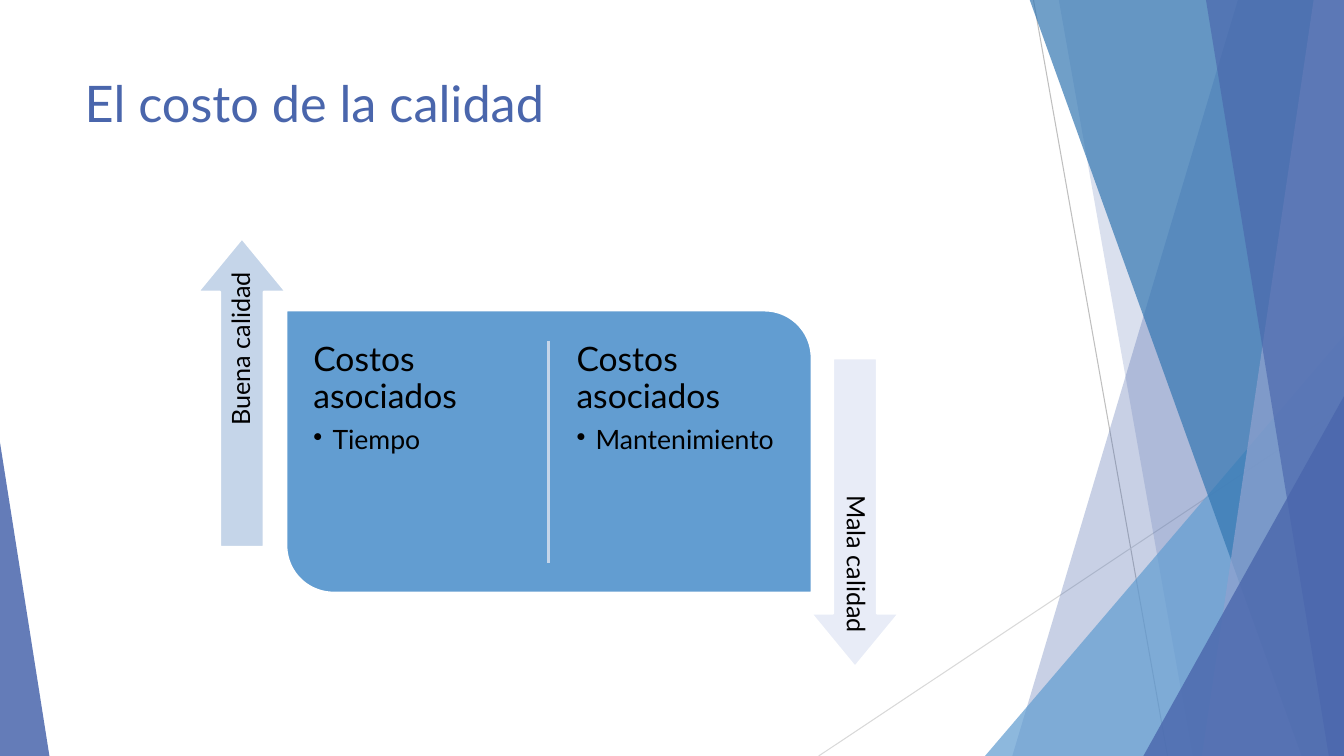
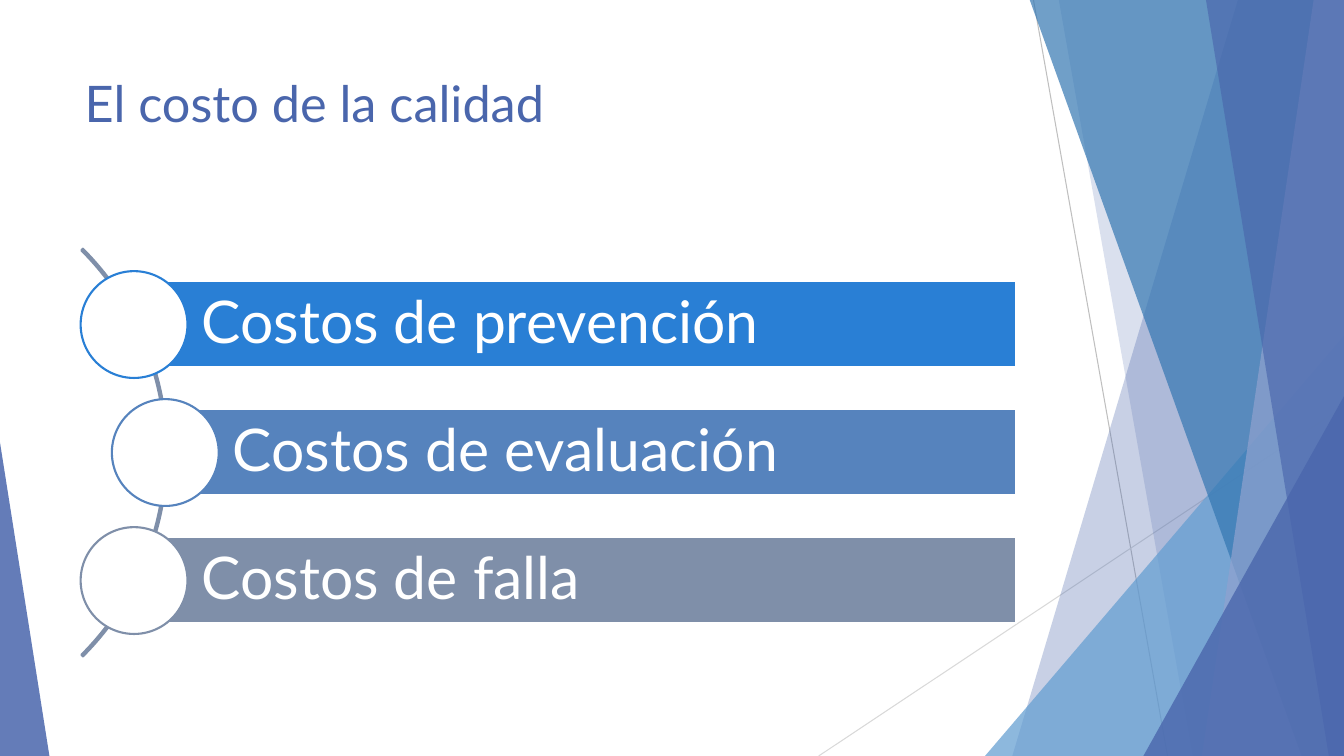
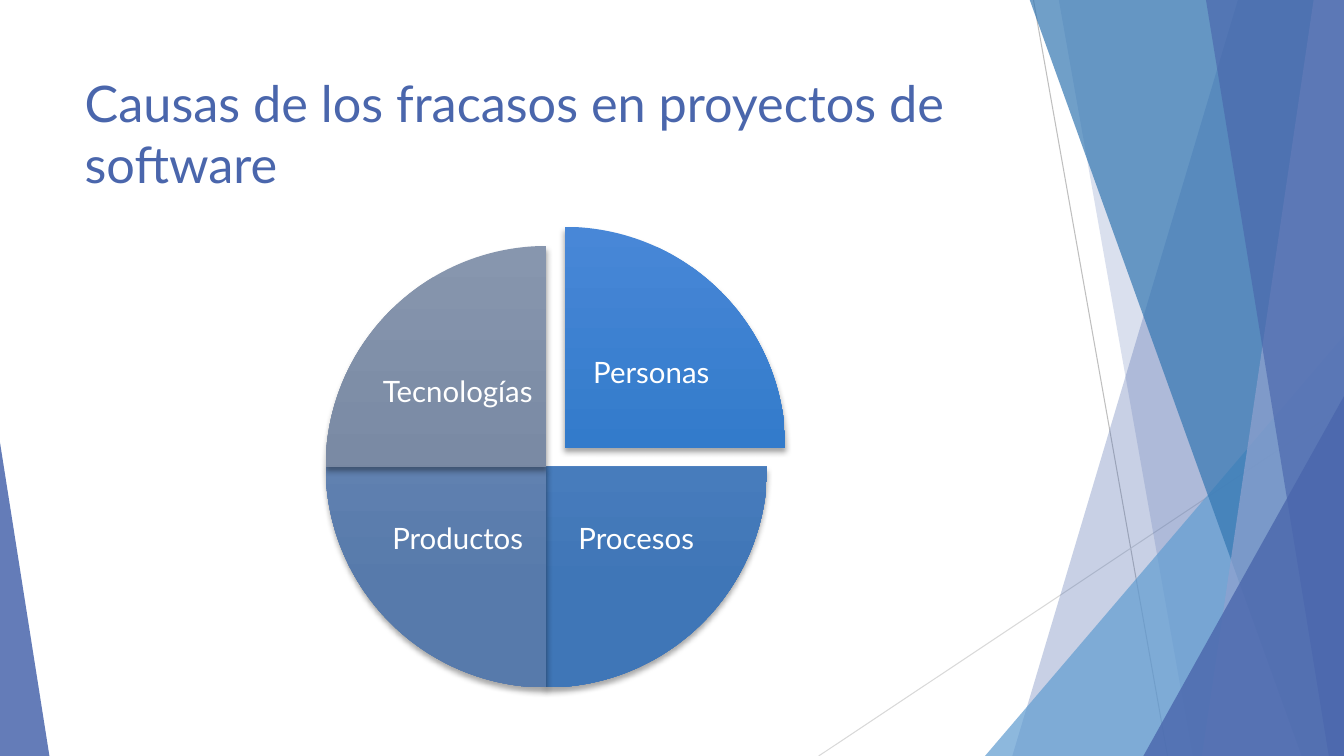
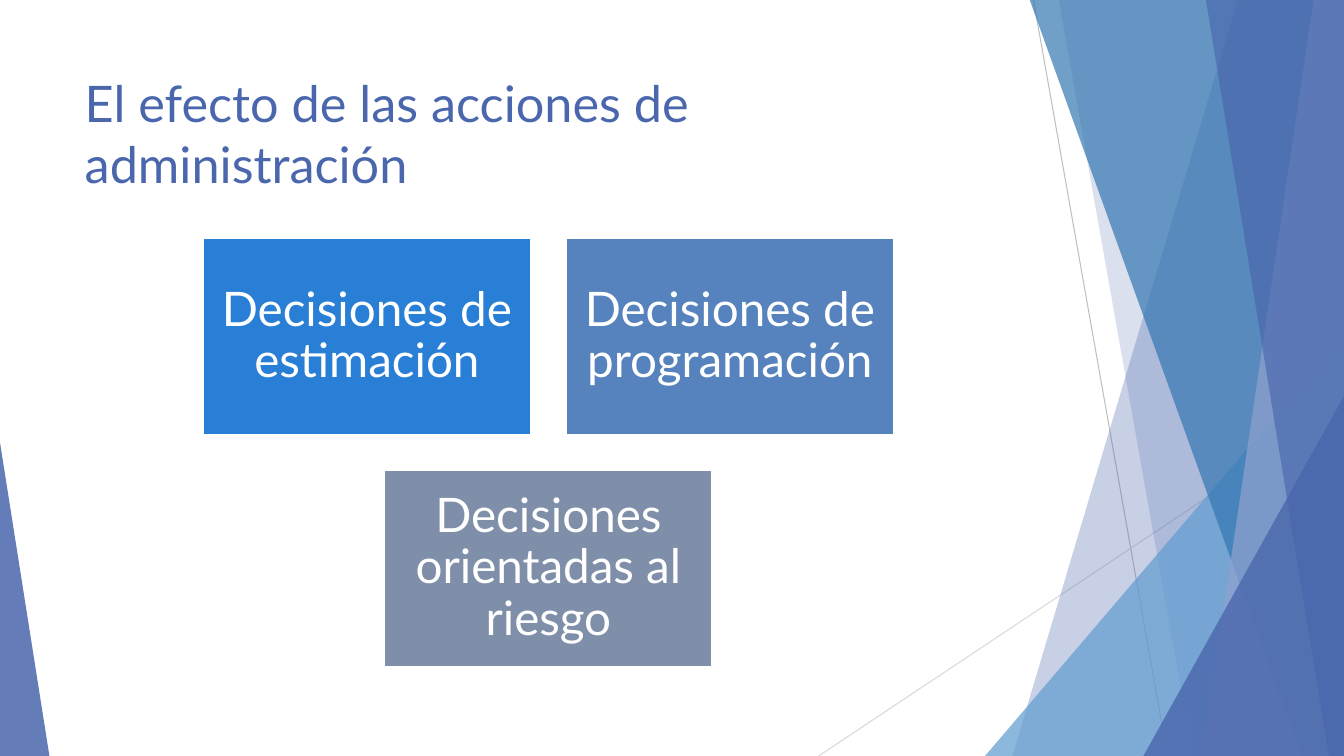
from lxml.etree import SubElement
from pptx import Presentation
from pptx.dml.color import RGBColor
from pptx.enum.shapes import MSO_CONNECTOR, MSO_SHAPE
from pptx.enum.text import MSO_ANCHOR, MSO_AUTO_SIZE, PP_ALIGN
from pptx.oxml.ns import qn
from pptx.util import Inches, Pt

FONT = "Lato"
WIDTH, HEIGHT = 13.33, 7.5
COLORS = {
    "indigo": "4A66AC", "sky": "629DD1", "steel": "3477B2", "lavender": "90A2CF",
    "blue": "297FD5", "mid_blue": "5683BD", "slate": "7F8FA9",
    "pale_blue": "C5D5E9", "pale_indigo": "E8ECF7",
    "gray": "BFBFBF", "light_gray": "D9D9D9", "white": "FFFFFF", "black": "000000",
    "people_top": "4887D7", "people_base": "2674C3",
    "process_top": "5A89C7", "process_base": "3F76B7",
    "product_top": "718EB9", "product_base": "577AAB",
    "tech_top": "8796AE", "tech_base": "71829D",
}
SERIES = ["blue", "mid_blue", "slate"]

# Background: thin rays, then facets from back to front
RAYS = [((10.25, 0), (11.58, 7.5), "gray"), ((13.33, 4.03), (8.12, 7.5), "light_gray")]
FACETS = [  # band: top x, bottom x; triangle: left, top, width, peak
    ("band", (12.28, 10.04), "indigo", 30),
    ("band", (10.5, 11.83), "indigo", 20),
    ("triangle", (9.77, 3.33, 3.56, 1), "sky", 72),
    ("band", (10.21, 12.91), "steel", 70),
    ("band", (13.03, 11.92), "lavender", 70),
    ("band", (11.96, 13.18), "indigo", 65),
    ("triangle", (11.34, 3.93, 1.99, 1), "indigo", 80),
    ("triangle", (0, 4.39, 0.49, 0), "indigo", 85),
]

# Slide content
QUALITY_TITLE = "El costo de la calidad"
QUALITY_PANELS = [("Costos asociados", "Tiempo"), ("Costos asociados", "Mantenimiento")]
QUALITY_ARROWS = [  # text, left, top, rotation, colour
    ("Buena calidad", 0.87, 3.46, 270, "pale_blue"),
    ("Mala calidad", 6.95, 4.65, 90, "pale_indigo"),
]
COST_TYPES = ["Costos de prevención", "Costos de evaluación", "Costos de falla"]
CAUSES_TITLE = "Causas de los fracasos en proyectos de software"
CAUSES = [  # text, pie corner, label corner, gradient
    ("Personas", (3.41, 2.25), (5.65, 3.06), "people"),
    ("Procesos", (3.23, 2.44), (5.5, 4.71), "process"),
    ("Productos", (3.23, 2.44), (3.73, 4.71), "product"),
    ("Tecnologías", (3.23, 2.44), (3.73, 3.25), "tech"),
]
EFFECT_TITLE = "El efecto de las acciones de administración"
DECISION_ROWS = [
    ["Decisiones de estimación", "Decisiones de programación"],
    ["Decisiones orientadas al riesgo"],
]


def rgb(name):
    return RGBColor.from_string(COLORS[name])


def style(shape, fill=None, line=None, width=1.5, opacity=None):
    shape.shadow.inherit = False
    if fill:
        shape.fill.solid()
        shape.fill.fore_color.rgb = rgb(fill)
        if opacity:
            color = shape.element.spPr.find(qn("a:solidFill"))[0]
            SubElement(color, qn("a:alpha"), val=str(opacity * 1000))
    else:
        shape.fill.background()
    if line:
        shape.line.color.rgb = rgb(line)
        shape.line.width = Pt(width)
    else:
        shape.line.fill.background()


def add_shape(slide, kind, box, adjust=(), **look):
    shape = slide.shapes.add_shape(kind, *map(Inches, box))
    for index, value in enumerate(adjust):
        shape.adjustments[index] = value
    style(shape, **look)
    return shape


def add_line(slide, start, end, color, width):
    line = slide.shapes.add_connector(
        MSO_CONNECTOR.STRAIGHT, *map(Inches, start + end))
    line.line.color.rgb = rgb(color)
    line.line.width = Pt(width)
    SubElement(line.element.spPr, qn("a:effectLst"))


def add_box(slide, box):
    return slide.shapes.add_textbox(*map(Inches, box))


def set_frame(shape, inset, anchor=MSO_ANCHOR.MIDDLE, left=None):
    frame = shape.text_frame
    frame.word_wrap = True
    frame.auto_size = MSO_AUTO_SIZE.NONE
    frame.vertical_anchor = anchor
    frame.margin_left = Inches(inset if left is None else left)
    frame.margin_right = frame.margin_top = frame.margin_bottom = Inches(inset)
    return frame


def write(paragraph, text, size, color, align=PP_ALIGN.LEFT, after=0.35, spacing=0.9):
    paragraph.alignment = align
    paragraph.line_spacing = spacing
    paragraph.space_after = Pt(round(size * after, 1))
    run = paragraph.add_run()
    run.text = text
    run.font.name = FONT
    run.font.size = Pt(size)
    run.font.color.rgb = rgb(color)


def add_bullet(paragraph, indent):
    props = paragraph._p.get_or_add_pPr()
    props.set("marL", str(Inches(indent)))
    props.set("indent", str(-Inches(indent)))
    SubElement(props, qn("a:buChar"), char="•")


def add_slide(prs, title):
    slide = prs.slides.add_slide(prs.slide_layouts[5])
    heading = slide.shapes.title
    heading.left, heading.top, heading.width, heading.height = map(
        Inches, (0.74, 0.67, 9.4, 1.44))
    frame = set_frame(heading, 0.05, MSO_ANCHOR.TOP, left=0.1)
    write(frame.paragraphs[0], title, 36, "indigo", after=0, spacing=1.0)
    return slide


def move_background_to_layout(slide):
    """Draw the background once and hand it to the layout all slides use."""
    for start, end, color in RAYS:
        add_line(slide, start, end, color, 0.75)
    for kind, place, color, opacity in FACETS:
        if kind == "triangle":
            left, top, width, peak = place
            add_shape(slide, MSO_SHAPE.ISOSCELES_TRIANGLE,
                      (left, top, width, HEIGHT - top), [peak],
                      fill=color, opacity=opacity)
        else:
            top_x, bottom_x = place
            outline = slide.shapes.build_freeform(Inches(top_x), Inches(-0.01))
            outline.add_line_segments([
                (Inches(WIDTH), Inches(-0.01)), (Inches(WIDTH), Inches(HEIGHT)),
                (Inches(bottom_x), Inches(HEIGHT))])
            style(outline.convert_to_shape(), fill=color, opacity=opacity)
    layout_tree = slide.slide_layout.shapes.element
    parts = [shape for shape in slide.shapes if not shape.is_placeholder]
    for number, part in enumerate(parts):
        part.element.xpath(".//p:cNvPr")[0].set("id", str(100 + number))
        layout_tree.append(part.element)


def draw_quality(slide):
    add_shape(slide, MSO_SHAPE.ROUND_2_DIAG_RECTANGLE, (2.84, 3.08, 5.21, 2.8),
              [0, 0.167], fill="sky", line="white")
    add_line(slide, (5.44, 3.38), (5.44, 5.59), "pale_blue", 1.5)
    for column, (heading, item) in enumerate(QUALITY_PANELS):
        panel = add_box(slide, (3.01 + 2.61 * column, 3.3, 2.26, 2.38))
        frame = set_frame(panel, 0.1, MSO_ANCHOR.TOP)
        write(frame.paragraphs[0], heading, 24, "black")
        bullet = frame.add_paragraph()
        bullet.level = 1
        write(bullet, item, 19, "black", after=0.15)
        add_bullet(bullet, 0.19)
    for text, left, top, rotation, color in QUALITY_ARROWS:
        arrow = add_shape(slide, MSO_SHAPE.RIGHT_ARROW, (left, top, 3.06, 0.87),
                          [0.498, 0.607], fill=color, line="white")
        arrow.rotation = rotation
        write(set_frame(arrow, 0.07).paragraphs[0], text, 18, "black", PP_ALIGN.RIGHT)


def draw_cost_types(slide):
    add_shape(slide, MSO_SHAPE.BLOCK_ARC, (-4.06, 1.63, 5.72, 5.72),
              [189, 27, 0.004], line="slate")
    diameter, right = 1.06, 10.08
    for row, (text, color) in enumerate(zip(COST_TYPES, SERIES)):
        left = 1.11 if row == 1 else 0.8
        center = left + diameter / 2
        top = 2.79 + 1.27 * row
        bar = add_shape(slide, MSO_SHAPE.RECTANGLE, (center, top, right - center, 0.85),
                        fill=color, line="white")
        write(set_frame(bar, 0.12, left=0.67).paragraphs[0], text, 42, "white")
        add_shape(slide, MSO_SHAPE.OVAL, (left, top - 0.1, diameter, diameter),
                  fill="white", line=color)


def draw_causes(slide):
    for quarter, (text, corner, label_corner, tone) in enumerate(CAUSES):
        start = (270 + 90 * quarter) % 360
        angles = [angle * 0.6 for angle in (start, (start + 90) % 360)]
        wedge = add_shape(slide, MSO_SHAPE.PIE, corner + (4.38, 4.38), angles)
        wedge.fill.gradient()
        wedge.fill.gradient_angle = 270
        for stop, end, position in zip(wedge.fill.gradient_stops, ("top", "base"), (0, 0.78)):
            stop.color.rgb = rgb(f"{tone}_{end}")
            stop.position = position
        shadow = SubElement(
            wedge.element.spPr.find(qn("a:effectLst")), qn("a:outerShdw"),
            blurRad=str(Pt(4)), dist=str(Pt(3)), dir="5400000", rotWithShape="0")
        shade = SubElement(shadow, qn("a:srgbClr"), val=COLORS["black"])
        SubElement(shade, qn("a:alpha"), val="35000")
        label = add_box(slide, label_corner + (1.62, 1.3))
        write(set_frame(label, 0.03).paragraphs[0], text, 21, "white", PP_ALIGN.CENTER)


def draw_decisions(slide):
    width, height, gap, middle = 3.26, 1.96, 0.34, 5.44
    colors = iter(SERIES)
    for row, texts in enumerate(DECISION_ROWS):
        row_width = len(texts) * (width + gap) - gap
        for column, text in enumerate(texts):
            left = middle - row_width / 2 + column * (width + gap)
            top = 2.36 + row * (height + gap)
            card = add_shape(slide, MSO_SHAPE.RECTANGLE, (left, top, width, height),
                             fill=next(colors), line="white", width=2)
            write(set_frame(card, 0.14).paragraphs[0], text, 34, "white", PP_ALIGN.CENTER)


def main():
    prs = Presentation()
    prs.slide_width, prs.slide_height = Inches(WIDTH), Inches(HEIGHT)
    pages = [
        (QUALITY_TITLE, draw_quality),
        (QUALITY_TITLE, draw_cost_types),
        (CAUSES_TITLE, draw_causes),
        (EFFECT_TITLE, draw_decisions),
    ]
    slides = [add_slide(prs, title) for title, _ in pages]
    move_background_to_layout(slides[0])
    for slide, (_, draw) in zip(slides, pages):
        draw(slide)
    prs.save("out.pptx")


if __name__ == "__main__":
    main()
